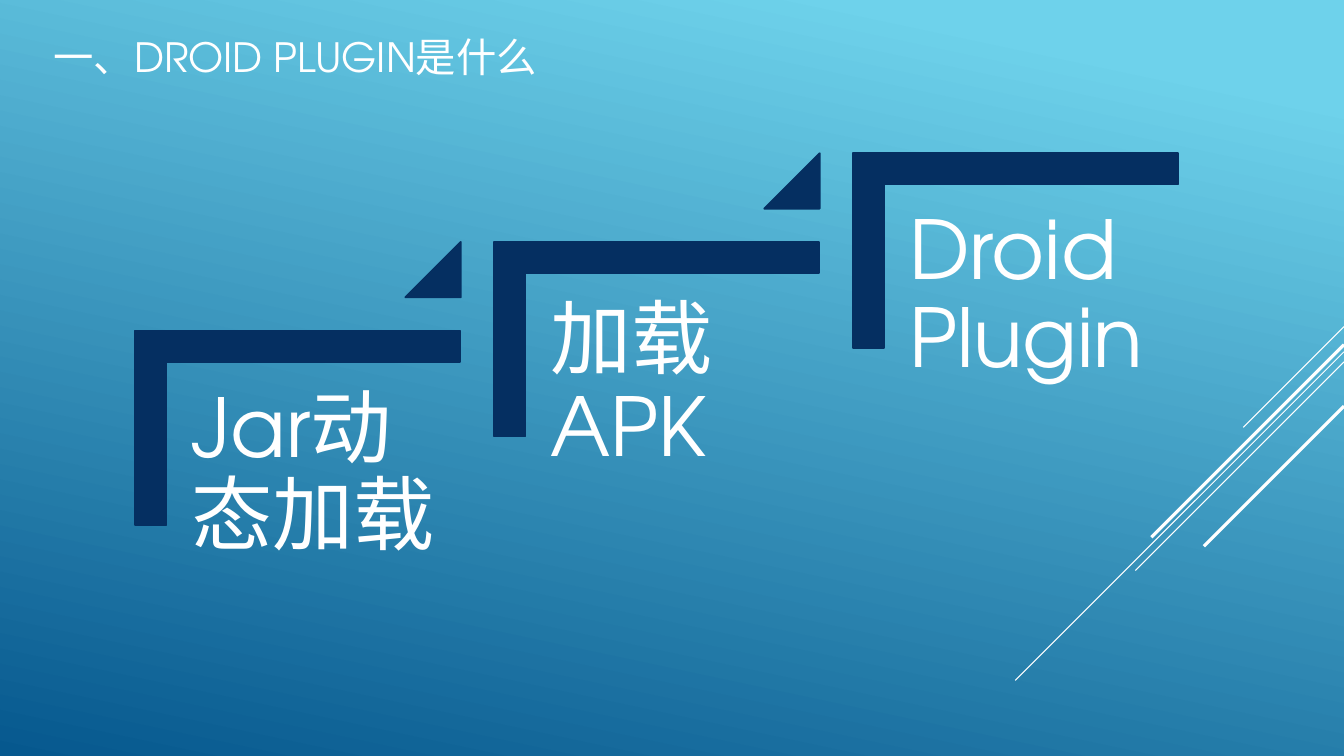
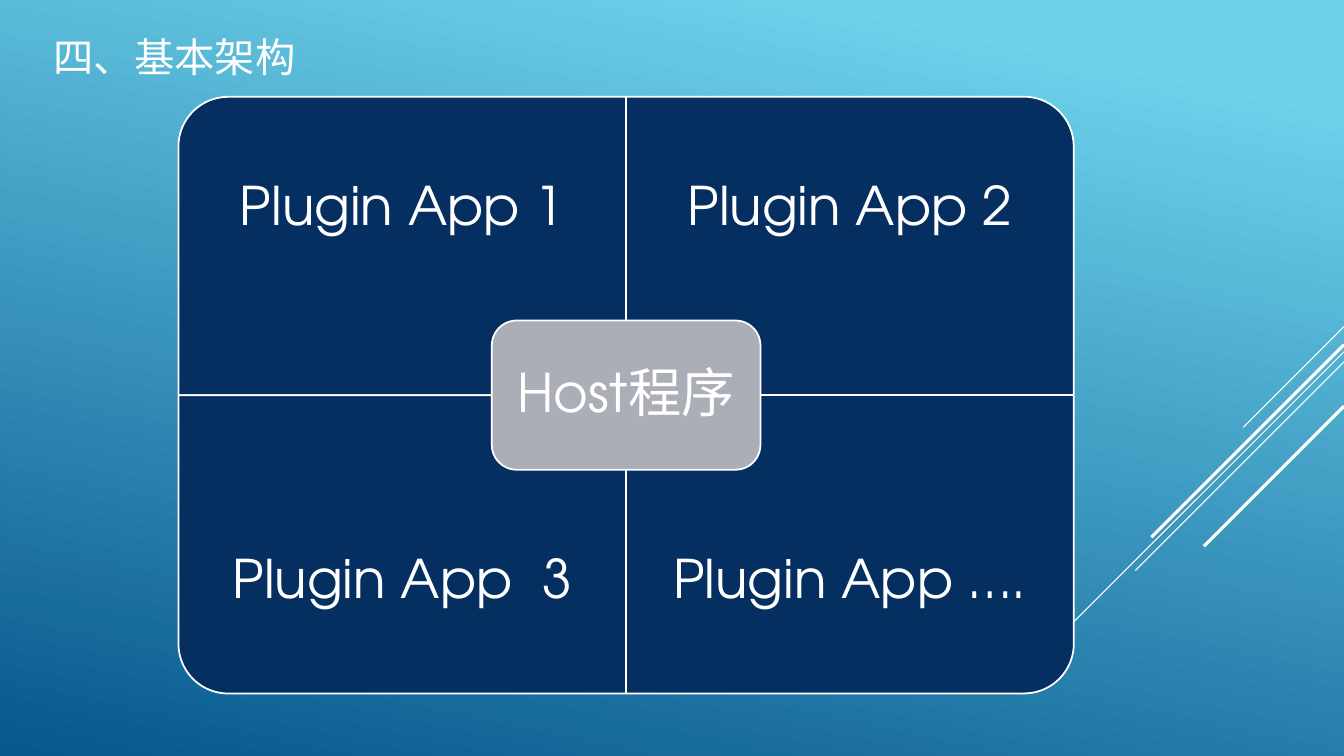
from lxml import etree
from pptx import Presentation
from pptx.dml.color import RGBColor
from pptx.enum.shapes import MSO_CONNECTOR as CONNECTOR, MSO_SHAPE as SHAPE
from pptx.enum.text import MSO_ANCHOR as ANCHOR, MSO_AUTO_SIZE as AUTO_SIZE, PP_ALIGN as ALIGN
from pptx.oxml.ns import qn
from pptx.util import Inches, Pt

WIDTH, HEIGHT = 13.33, 7.5
SKY = RGBColor(0x6E, 0xD2, 0xEB)
OCEAN = RGBColor(0x06, 0x58, 0x8E)
NAVY = RGBColor(0x05, 0x2F, 0x61)
GREY = RGBColor(0xAB, 0xAD, 0xB7)
WHITE = RGBColor(0xFF, 0xFF, 0xFF)
FONT = "TeX Gyre Adventor"


def write(frame, text, size, align=ALIGN.LEFT, anchor=ANCHOR.TOP, inset=None, spacing=0.9):
    frame_format = {"word_wrap": True, "auto_size": AUTO_SIZE.NONE, "vertical_anchor": anchor}
    if inset is not None:
        for side in ("left", "top", "right", "bottom"):
            frame_format[f"margin_{side}"] = Inches(inset)
    for name, value in frame_format.items():
        setattr(frame, name, value)
    para = frame.paragraphs[0]
    para.alignment, para.line_spacing = align, spacing
    span = para.add_run()
    span.text = text
    for name, value in {"name": FONT, "size": Pt(size)}.items():
        setattr(span.font, name, value)
    span.font.color.rgb = WHITE


def add_panel(page, kind, left, top, width, height, fill, edge, turn=0):
    # The frame is the one seen; a quarter turn swaps its sides around the centre
    middle_x, middle_y = left + width / 2, top + height / 2
    if turn % 180:
        width, height = height, width
    panel = page.shapes.add_shape(
        kind, Inches(middle_x - width / 2), Inches(middle_y - height / 2),
        Inches(width), Inches(height))
    panel.rotation = turn
    panel.shadow.inherit = False
    panel.fill.solid()
    panel.fill.fore_color.rgb = fill
    panel.line.color.rgb = edge
    panel.line.width = Pt(1.25)
    return panel


deck = Presentation()
deck.slide_width, deck.slide_height = Inches(WIDTH), Inches(HEIGHT)
title_only = deck.slide_layouts[5]

# Shared background
backdrop = deck.slide_master.background.fill
backdrop.gradient()
backdrop.gradient_angle = 360 - 102
for stop, position, colour in zip(backdrop.gradient_stops, (0.1, 1), (SKY, OCEAN)):
    stop.position, stop.color.rgb = position, colour

# Titled pages
pages = []
for heading in ("一、DROID PLUGIN是什么", "四、基本架构"):
    page = deck.slides.add_slide(title_only)
    title = page.shapes.title
    for name, value in {"left": 0.43, "top": 0.25, "width": 11, "height": 0.61}.items():
        setattr(title, name, Inches(value))
    write(title.text_frame, heading, 28.8, anchor=ANCHOR.MIDDLE, spacing=1)
    pages.append(page)
steps_page, tiles_page = pages

# Diagonal rays from the right edge, moved into the shared layout
rays = [(3.24, 1, 0.75), (3.49, 3.26, 0.75), (3.59, 2.07, 0.75), (3.42, 1.91, 2.25), (4.03, 1.39, 2.25)]
for number, (top, reach, weight) in enumerate(rays, start=20):
    ray = steps_page.shapes.add_connector(
        CONNECTOR.STRAIGHT, Inches(WIDTH), Inches(top), Inches(WIDTH - reach), Inches(top + reach))
    ray.line.color.rgb = WHITE
    ray.line.width = Pt(weight)
    etree.SubElement(ray.element.spPr, qn("a:effectLst"))
    ray.element.nvCxnSpPr.cNvPr.set("id", str(number))
    title_only.shapes.element.append(ray.element)

# Rising steps: each is one column to the right and one row up
STEP_COLUMN, STEP_ROW = 3.56, 0.88
steps = ["Jar动态加载", "加载APK", "Droid Plugin"]
for index, label in enumerate(steps):
    left, top = 1.66 + index * STEP_COLUMN, 3.6 - index * STEP_ROW
    corner = add_panel(steps_page, SHAPE.CORNER, left - 0.32, top - 0.32, 3.22, 1.93, NAVY, NAVY, 90)
    corner.adjustments[0] = corner.adjustments[1] = 0.161
    box = steps_page.shapes.add_textbox(Inches(left), Inches(top), Inches(2.91), Inches(2.55))
    write(box.text_frame, label, 58, inset=0.24)
    if index < len(steps) - 1:
        wedge = add_panel(steps_page, SHAPE.ISOSCELES_TRIANGLE, left + 2.36, top - 1.2, 0.55, 0.55, NAVY, NAVY)
        wedge.adjustments[0] = 1

# Two by two tiles, the rounded corner of each turned outwards
TILE_LEFT, TILE_TOP, TILE_WIDTH, TILE_HEIGHT = 1.77, 0.96, 4.44, 2.96
tiles = [("Plugin App 1", 270), ("Plugin App 2", 0), ("Plugin App  3", 180), ("Plugin App ….", 90)]
for index, (label, turn) in enumerate(tiles):
    row, column = divmod(index, 2)
    left, top = TILE_LEFT + column * TILE_WIDTH, TILE_TOP + row * TILE_HEIGHT
    add_panel(tiles_page, SHAPE.ROUND_1_RECTANGLE, left, top, TILE_WIDTH, TILE_HEIGHT, NAVY, WHITE, turn)
    # The label fills the outer three quarters of its tile
    box = tiles_page.shapes.add_textbox(
        Inches(left), Inches(top + row * TILE_HEIGHT / 4), Inches(TILE_WIDTH), Inches(TILE_HEIGHT * 3 / 4))
    write(box.text_frame, label, 38, ALIGN.CENTER, ANCHOR.MIDDLE, 0.3)

# Host over the point where the tiles meet
host_width, host_height = TILE_WIDTH * 0.6, TILE_HEIGHT / 2
host = add_panel(
    tiles_page, SHAPE.ROUNDED_RECTANGLE, TILE_LEFT + TILE_WIDTH - host_width / 2,
    TILE_TOP + TILE_HEIGHT - host_height / 2, host_width, host_height, GREY, WHITE)
write(host.text_frame, "Host程序", 38, ALIGN.CENTER, ANCHOR.MIDDLE, 0.16)

deck.save("out.pptx")
